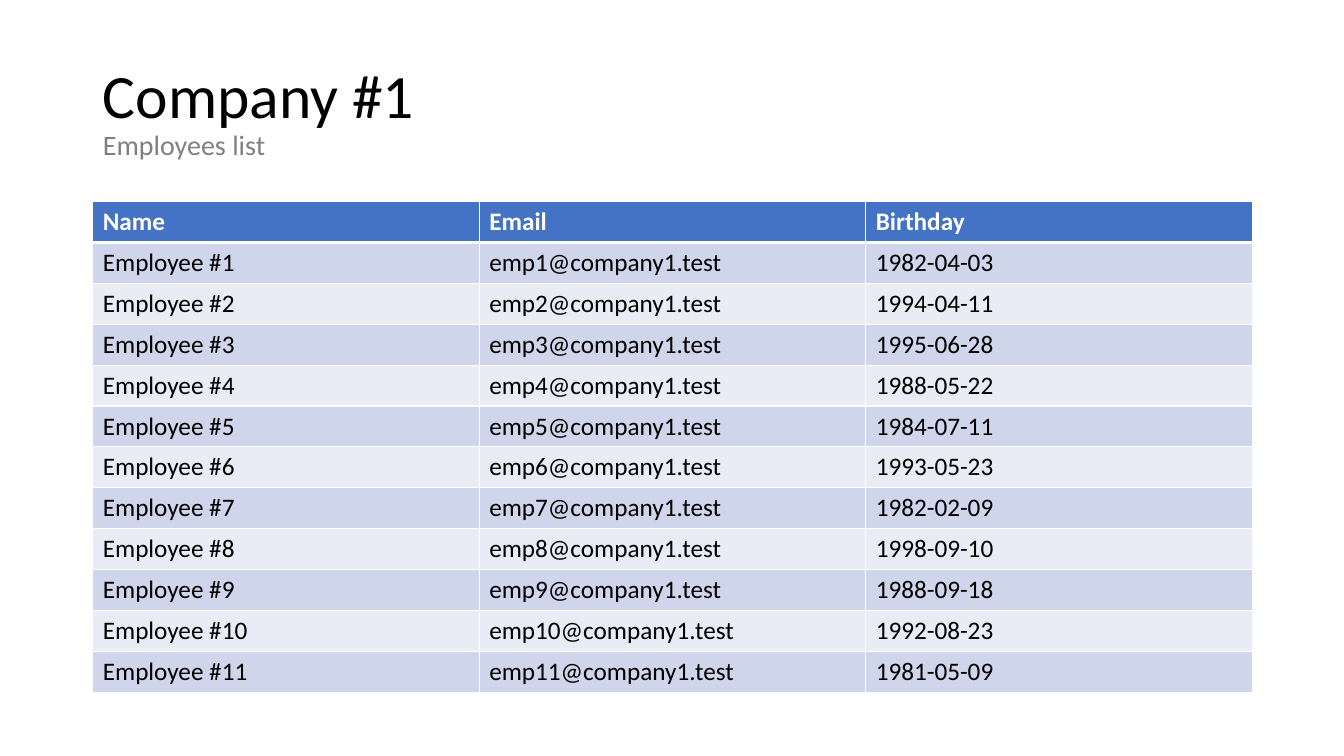
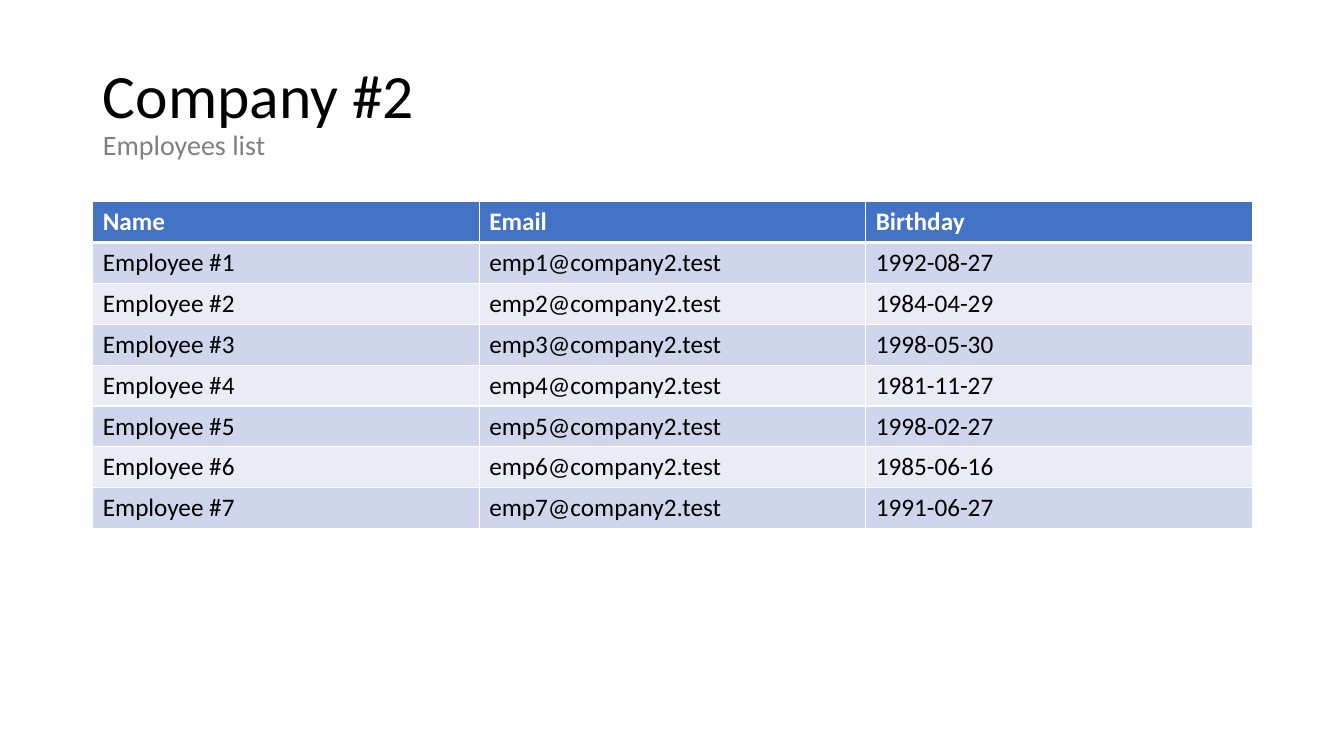
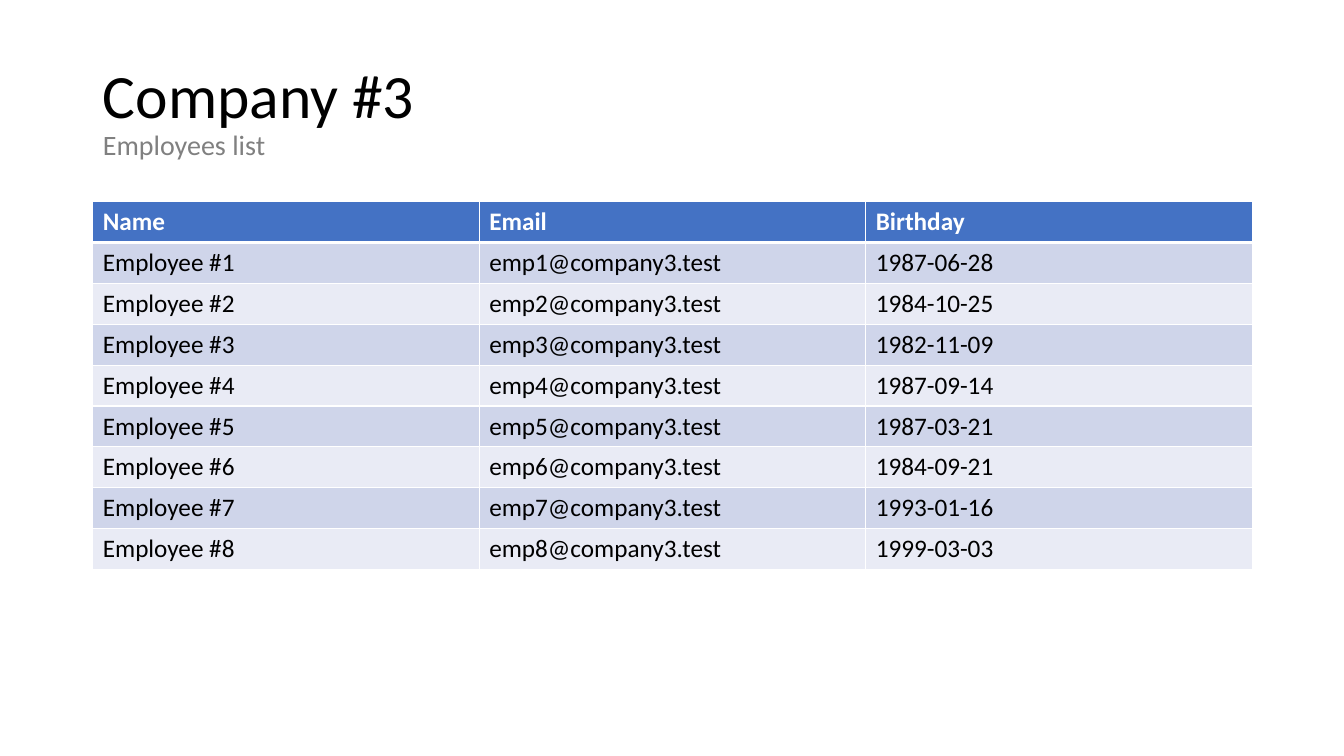
from lxml import etree
from pptx import Presentation
from pptx import util as u
from pptx.dml.color import RGBColor
from pptx.enum import text
from pptx.oxml import ns

WHITE = RGBColor(0xFF, 0xFF, 0xFF)
BLACK = RGBColor(0, 0, 0)
GREY = RGBColor(0x80, 0x80, 0x80)
BLUE = RGBColor(0x44, 0x72, 0xC4)
BANDS = (RGBColor(0xCF, 0xD5, 0xEA), RGBColor(0xE9, 0xEB, 0xF5))

FONT = "Calibri"
WIDTH, HEIGHT = u.Inches(13.33), u.Inches(7.5)
MARGIN = u.Inches(0.92)
CONTENT_WIDTH = u.Inches(11.5)
TITLE_TOP, TITLE_HEIGHT = u.Inches(0.4), u.Inches(1.45)
TABLE_TOP, ROW_HEIGHT = u.Inches(2), u.Pt(29.2)
THIN, THICK = u.Pt(1), u.Pt(3)

HEADINGS = ("Name", "Email", "Birthday")
BIRTHDAYS = (
    ("1982-04-03", "1994-04-11", "1995-06-28", "1988-05-22", "1984-07-11", "1993-05-23",
     "1982-02-09", "1998-09-10", "1988-09-18", "1992-08-23", "1981-05-09"),
    ("1992-08-27", "1984-04-29", "1998-05-30", "1981-11-27", "1998-02-27", "1985-06-16",
     "1991-06-27"),
    ("1987-06-28", "1984-10-25", "1982-11-09", "1987-09-14", "1987-03-21", "1984-09-21",
     "1993-01-16", "1999-03-03"),
)


def style_run(run, size, color, bold=False):
    run.font.name = FONT
    run.font.size = u.Pt(size)
    run.font.color.rgb = color
    run.font.bold = bold


def place_title(layout):
    title = layout.placeholders[0]
    title.left, title.top = MARGIN, TITLE_TOP
    title.width, title.height = CONTENT_WIDTH, TITLE_HEIGHT


def add_title(slide, company, subtitle):
    frame = slide.shapes.title.text_frame
    frame.text = f"{company}\v{subtitle}"
    frame.vertical_anchor = text.MSO_ANCHOR.MIDDLE
    frame.auto_size = text.MSO_AUTO_SIZE.NONE
    heading = frame.paragraphs[0]
    heading.alignment = text.PP_ALIGN.LEFT
    heading.line_spacing = 0.9
    for run, size, color in zip(heading.runs, (44, 20), (BLACK, GREY)):
        style_run(run, size, color)


def set_borders(cell, top, bottom):
    properties = cell._tc.get_or_add_tcPr()
    for side, width in (("L", THIN), ("R", THIN), ("T", top), ("B", bottom)):
        line = etree.SubElement(properties, ns.qn(f"a:ln{side}"), w=str(int(width)))
        fill = etree.SubElement(line, ns.qn("a:solidFill"))
        etree.SubElement(fill, ns.qn("a:srgbClr"), val=str(WHITE))


def fill_cell(cell, content, row):
    is_header = row == 0
    set_borders(cell, THICK if row == 1 else THIN, THICK if is_header else THIN)
    cell.fill.solid()
    cell.fill.fore_color.rgb = BLUE if is_header else BANDS[(row - 1) % 2]
    cell.text_frame.text = content
    style_run(cell.text_frame.paragraphs[0].runs[0], 18,
              WHITE if is_header else BLACK, is_header)


def add_grid(slide, records):
    grid = slide.shapes.add_table(len(records), len(HEADINGS), MARGIN, TABLE_TOP,
                                  CONTENT_WIDTH, ROW_HEIGHT * len(records)).table
    for row, record in enumerate(records):
        grid.rows[row].height = ROW_HEIGHT
        for column, content in enumerate(record):
            fill_cell(grid.cell(row, column), content, row)


def employee_records(company, birthdays):
    return [HEADINGS] + [
        (f"Employee #{number}", f"emp{number}@company{company}.test", birthday)
        for number, birthday in enumerate(birthdays, 1)
    ]


def main():
    deck = Presentation()
    deck.slide_width, deck.slide_height = WIDTH, HEIGHT
    title_only = deck.slide_layouts[5]
    place_title(title_only)
    for company, birthdays in enumerate(BIRTHDAYS, 1):
        slide = deck.slides.add_slide(title_only)
        add_title(slide, f"Company #{company}", "Employees list")
        add_grid(slide, employee_records(company, birthdays))
    deck.save("out.pptx")


if __name__ == "__main__":
    main()
